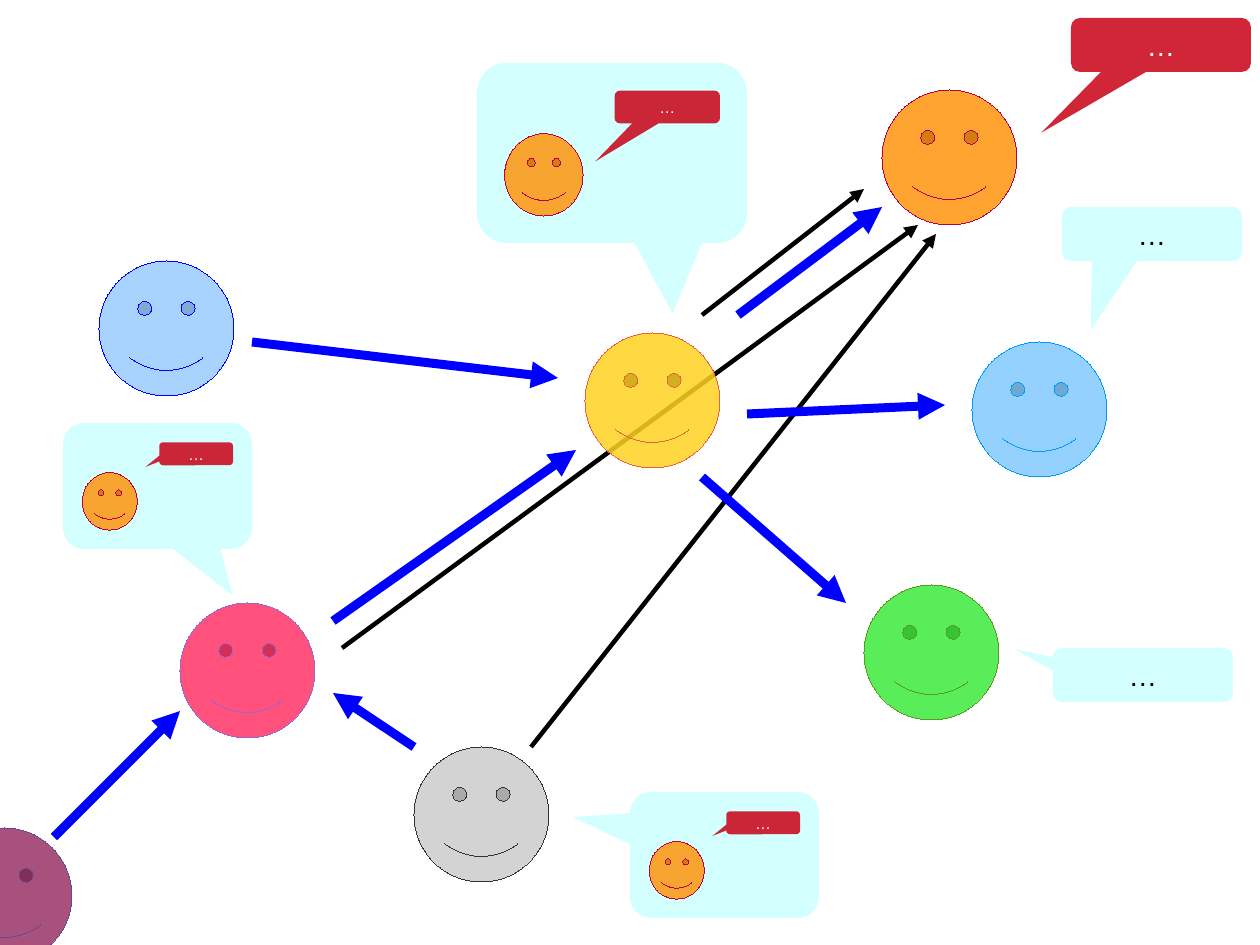
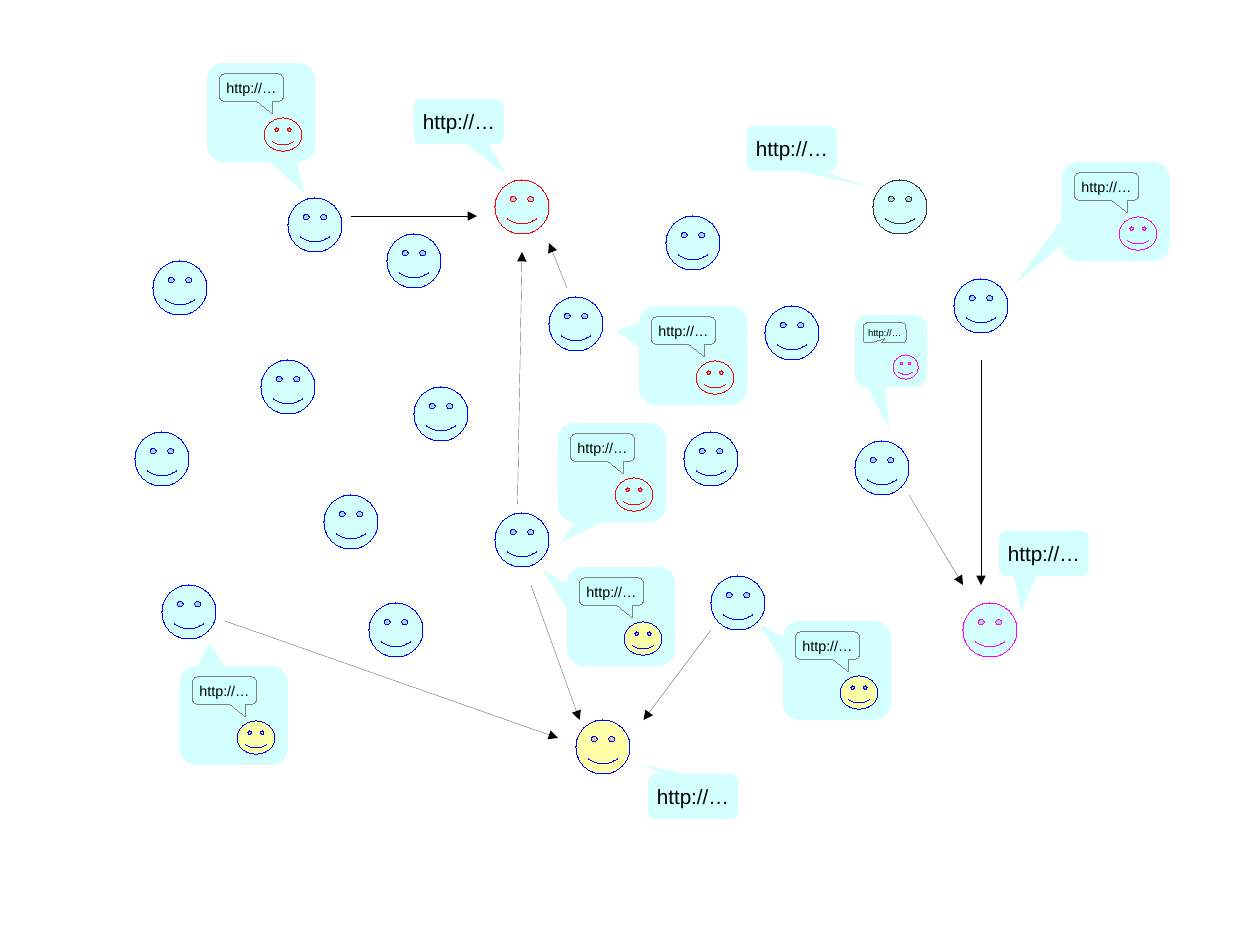
"""Build two slides of faces that quote and reference one another."""
from dataclasses import dataclass
from typing import NamedTuple

from pptx import Presentation
from pptx.dml.color import RGBColor
from pptx.enum.shapes import MSO_CONNECTOR, MSO_SHAPE
from pptx.enum.text import MSO_ANCHOR, PP_ALIGN
from pptx.oxml import parse_xml
from pptx.oxml.ns import nsdecls
from pptx.oxml.xmlchemy import OxmlElement
from pptx.shapes.autoshape import Shape
from pptx.slide import Slide
from pptx.util import Pt

EMU_PER_PX = 3600
SLIDE_SIZE = (2800, 2100)
OPACITY = 85000
FONT = "Arial"
BLACK, WHITE, BLUE, GRAY = "000000", "FFFFFF", "0000FF", "808080"
CYAN, YELLOW, RED, MAGENTA = "CCFFFF", "FFFF99", "FF0000", "FF00FF"
ORANGE, CRIMSON, RUBY = "FF950E", "C90016", "B80047"
DOTS, LINK = "…", "http://…"


class Point(NamedTuple):
    x: float
    y: float


class Box(NamedTuple):
    left: float
    top: float
    width: float
    height: float


@dataclass(frozen=True)
class Face:
    box: Box
    fill: str
    line: str


@dataclass(frozen=True)
class Speech:
    box: Box
    tip: Point
    text: str = ""
    size: float = 18
    fill: str = CYAN
    ink: str = BLACK
    line: str | None = None


@dataclass(frozen=True)
class Arrow:
    start: Point
    end: Point
    color: str = BLACK
    weight: float = 0


@dataclass(frozen=True)
class QuoteDesign:
    width: int
    height: int
    face: Box
    speech: Box
    text: str
    fill: str
    ink: str
    line: str | None


@dataclass(frozen=True)
class Quote:
    box: Box
    tip: Point
    inner_tip: Point
    size: float
    face_fill: str
    face_line: str


DOTS_DESIGN = QuoteDesign(420, 280, Box(43, 110, 122, 128), Box(214, 43, 164, 51),
                          DOTS, CRIMSON, WHITE, None)
LINK_DESIGN = QuoteDesign(240, 220, Box(127, 122, 84, 74), Box(28, 24, 142, 61),
                          LINK, CYAN, BLACK, GRAY)


def emu(px: float) -> int:
    return round(px * EMU_PER_PX)


def color(code: str) -> RGBColor:
    return RGBColor.from_string(code)


def draw_shape(slide: Slide, kind: MSO_SHAPE, box: Box, fill: str, line: str | None) -> Shape:
    shape = slide.shapes.add_shape(kind, *map(emu, box))
    shape.shadow.inherit = False
    shape.fill.solid()
    shape.fill.fore_color.rgb = color(fill)
    properties = shape.element.spPr
    for tint in properties.xpath("./a:solidFill/a:srgbClr"):
        alpha = OxmlElement("a:alpha")
        alpha.set("val", str(OPACITY))
        tint.append(alpha)
    if line is None:
        shape.line.fill.background()
    else:
        shape.line.color.rgb = color(line)
        properties.get_or_add_ln().set("w", "0")
    return shape


def draw_face(slide: Slide, face: Face) -> None:
    draw_shape(slide, MSO_SHAPE.SMILEY_FACE, face.box, face.fill, face.line)


def draw_speech(slide: Slide, speech: Speech) -> None:
    box = speech.box
    bubble = draw_shape(slide, MSO_SHAPE.ROUNDED_RECTANGULAR_CALLOUT, box, speech.fill, speech.line)
    bubble.adjustments[0] = (speech.tip.x - box.left) / box.width - 0.5
    bubble.adjustments[1] = (speech.tip.y - box.top) / box.height - 0.5
    if not speech.text:
        return
    frame = bubble.text_frame
    frame.word_wrap = False
    frame.vertical_anchor = MSO_ANCHOR.MIDDLE
    paragraph = frame.paragraphs[0]
    paragraph.alignment = PP_ALIGN.CENTER
    run = paragraph.add_run()
    run.text = speech.text
    for name, value in {"name": FONT, "size": Pt(speech.size)}.items():
        setattr(run.font, name, value)
    run.font.color.rgb = color(speech.ink)


def draw_quote(slide: Slide, quote: Quote, design: QuoteDesign) -> None:
    scale_x = quote.box.width / design.width
    scale_y = quote.box.height / design.height

    def place(part: Box) -> Box:
        return Box(quote.box.left + part.left * scale_x, quote.box.top + part.top * scale_y,
                   part.width * scale_x, part.height * scale_y)

    inner_tip = Point(quote.box.left + quote.inner_tip.x * scale_x,
                      quote.box.top + quote.inner_tip.y * scale_y)
    draw_speech(slide, Speech(quote.box, quote.tip))
    draw_face(slide, Face(place(design.face), quote.face_fill, quote.face_line))
    draw_speech(slide, Speech(place(design.speech), inner_tip, design.text, quote.size,
                              design.fill, design.ink, design.line))


def draw_arrow(slide: Slide, arrow: Arrow) -> None:
    connector = slide.shapes.add_connector(
        MSO_CONNECTOR.STRAIGHT, *map(emu, (*arrow.start, *arrow.end)))
    connector.line.color.rgb = color(arrow.color)
    properties = connector._element.spPr
    stroke = properties.get_or_add_ln()
    stroke.set("w", str(int(Pt(arrow.weight))))
    stroke.append(parse_xml(f'<a:tailEnd {nsdecls("a")} type="triangle"/>'))
    properties.append(OxmlElement("a:effectLst"))


def draw_scene(slide: Slide, arrows: list[Arrow], faces: list[Face], speeches: list[Speech],
               quotes: list[Quote], design: QuoteDesign) -> None:
    for arrow in arrows:
        draw_arrow(slide, arrow)
    for face in faces:
        draw_face(slide, face)
    for speech in speeches:
        draw_speech(slide, speech)
    for quote in quotes:
        draw_quote(slide, quote, design)


def draw_conversation(slide: Slide) -> None:
    mentions = [(1560, 700, 1920, 420), (760, 1440, 2040, 500), (1180, 1660, 2080, 520)]
    follows = [(1640, 700, 1960, 460), (560, 760, 1240, 840), (740, 1380, 1280, 1000),
               (920, 1660, 740, 1540), (120, 1860, 400, 1580), (1560, 1060, 1880, 1340),
               (1660, 920, 2100, 900)]
    people = [(220, 580, "99CCFF", BLUE), (1960, 200, ORANGE, RUBY),
              (2160, 760, "83CAFF", "0099FF"), (1920, 1300, "3DEB3D", "579D1C"),
              (400, 1340, "FF3366", "9966CC"), (-140, 1840, "993366", "6B4794"),
              (920, 1660, "CCCCCC", "333333"), (1300, 740, "FFD320", "EB613D")]
    remarks = [(2380, 40, 2314, 295, CRIMSON, WHITE), (2360, 460, 2424, 733, CYAN, BLACK),
               (2340, 1440, 2255, 1443, CYAN, BLACK)]
    retold = [(Box(1060, 140, 600, 400), Point(1495, 697), Point(184, 153)),
              (Box(140, 940, 420, 280), Point(517, 1323), Point(183, 98)),
              (Box(1400, 1760, 420, 280), Point(1273, 1816), Point(183, 98))]
    styles = [(mentions, BLACK, 2.83), (follows, BLUE, 5.67)]
    draw_scene(
        slide,
        [Arrow(Point(x1, y1), Point(x2, y2), ink, weight)
         for routes, ink, weight in styles for x1, y1, x2, y2 in routes],
        [Face(Box(x, y, 300, 300), fill, line) for x, y, fill, line in people],
        [Speech(Box(x, y, 400, 120), Point(tip_x, tip_y), DOTS, fill=fill, ink=ink)
         for x, y, tip_x, tip_y, fill, ink in remarks],
        [Quote(box, tip, inner_tip, 10, ORANGE, RUBY) for box, tip, inner_tip in retold],
        DOTS_DESIGN)


def draw_network(slide: Slide) -> None:
    routes = [(500, 1380, 1240, 1640), (1180, 1300, 1288, 1600), (2180, 800, 2180, 1300),
              (780, 480, 1060, 480), (1260, 640, 1220, 540), (1580, 1400, 1430, 1600),
              (2020, 1100, 2140, 1300), (1150, 1120, 1160, 560)]
    readers = [(340, 580), (640, 440), (580, 800), (860, 520), (920, 860), (1220, 660),
               (300, 960), (720, 1100), (1100, 1140), (1520, 960), (1480, 480), (1700, 680),
               (1580, 1280), (1900, 980), (2120, 620), (360, 1300), (820, 1340)]
    authors = [(1100, 400, CYAN, RED), (1940, 400, CYAN, "333333"),
               (1280, 1600, YELLOW, BLUE), (2140, 1340, CYAN, MAGENTA)]
    posts = [(1660, 280, 1931, 416), (1440, 1720, 1424, 1698), (920, 220, 1126, 389),
             (2220, 1180, 2269, 1358)]
    shared = [(2360, 360, 2258, 629, CYAN, MAGENTA), (1260, 1260, 1206, 1267, YELLOW, BLUE),
              (460, 140, 676, 429, CYAN, RED), (400, 1480, 465, 1429, YELLOW, BLUE),
              (1420, 680, 1370, 735, CYAN, RED), (1740, 1380, 1686, 1387, YELLOW, BLUE),
              (1240, 940, 1246, 1205, CYAN, RED)]
    small_quote = Quote(Box(1900, 700, 160, 160), Point(1976, 952), Point(99, 73), 6,
                        CYAN, MAGENTA)
    people = [(x, y, CYAN, BLUE) for x, y in readers] + authors
    draw_scene(
        slide,
        [Arrow(Point(x1, y1), Point(x2, y2)) for x1, y1, x2, y2 in routes],
        [Face(Box(x, y, 120, 120), fill, line) for x, y, fill, line in people],
        [Speech(Box(x, y, 200, 100), Point(tip_x, tip_y), LINK, 13)
         for x, y, tip_x, tip_y in posts],
        [Quote(Box(x, y, 240, 220), Point(tip_x, tip_y), Point(146, 113), 9, fill, line)
         for x, y, tip_x, tip_y, fill, line in shared] + [small_quote],
        LINK_DESIGN)


def main() -> None:
    deck = Presentation()
    deck.slide_width, deck.slide_height = map(emu, SLIDE_SIZE)
    for draw in (draw_conversation, draw_network):
        draw(deck.slides.add_slide(deck.slide_layouts[6]))
    deck.save("out.pptx")


if __name__ == "__main__":
    main()
